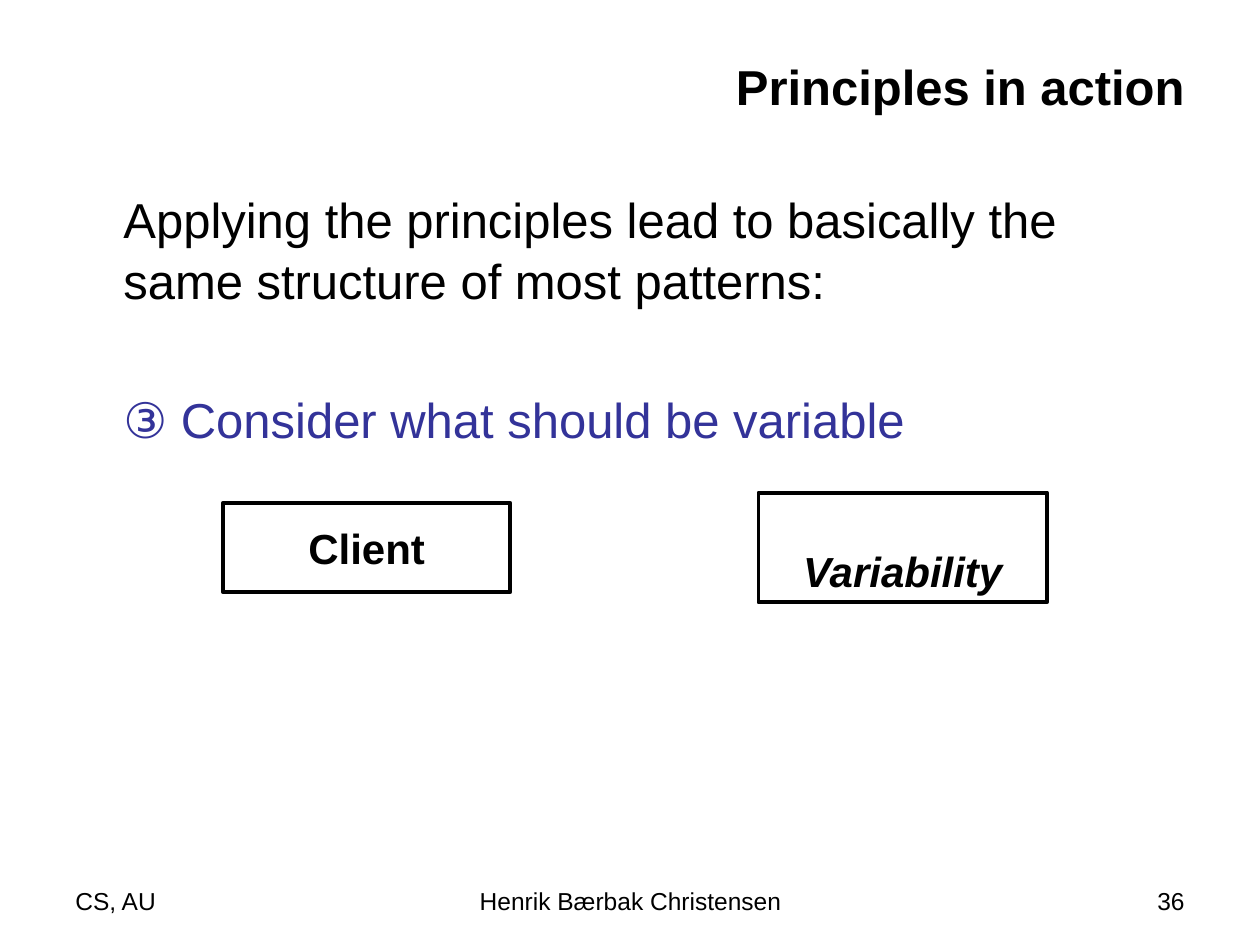
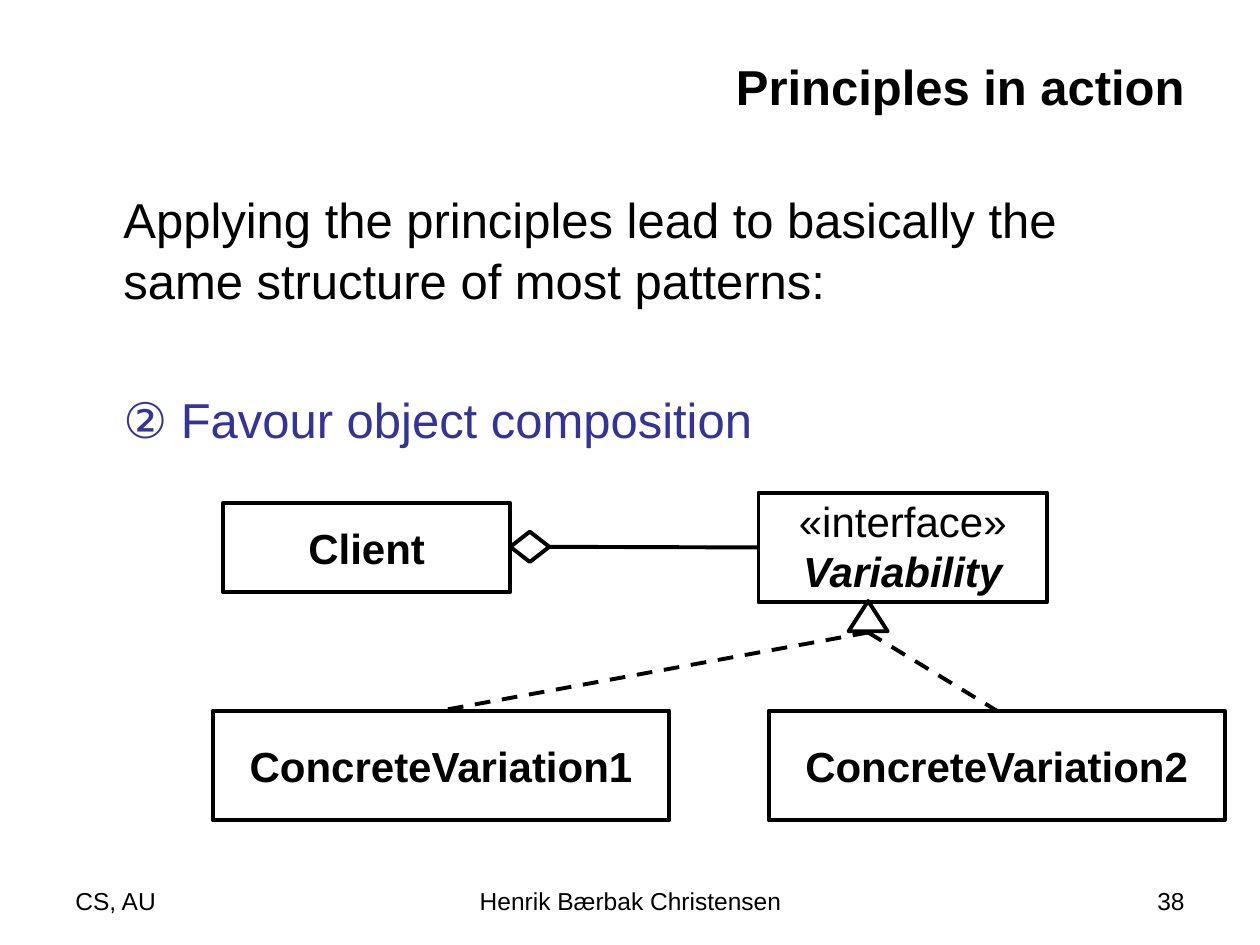
from collections import namedtuple

from lxml import etree
from pptx import Presentation
from pptx.dml.color import RGBColor
from pptx.enum.dml import MSO_LINE
from pptx.enum.shapes import MSO_CONNECTOR, MSO_SHAPE
from pptx.enum.text import MSO_ANCHOR, PP_ALIGN
from pptx.oxml.ns import qn
from pptx.util import Inches, Pt

LEFT, CENTER, RIGHT = PP_ALIGN.LEFT, PP_ALIGN.CENTER, PP_ALIGN.RIGHT
TOP, MIDDLE, BOTTOM = MSO_ANCHOR.TOP, MSO_ANCHOR.MIDDLE, MSO_ANCHOR.BOTTOM
RECTANGLE, DIAMOND = MSO_SHAPE.RECTANGLE, MSO_SHAPE.DIAMOND
TRIANGLE = MSO_SHAPE.ISOSCELES_TRIANGLE
STRAIGHT, DASH = MSO_CONNECTOR.STRAIGHT, MSO_LINE.DASH
TOP_SIDE, LEFT_SIDE, RIGHT_SIDE = 0, 1, 3

FONT = "Arial"
BLACK, BLUE = "000000", "333399"
LINE_WIDTH = 2.25
SYMBOL_W, SYMBOL_H = 0.31, 0.24

Box = namedtuple("Box", "x y w h")
TITLE = Box(0.5, 0.3, 9, 0.77)
BODY = Box(0.5, 1.39, 9, 5.59)
FOOTER = Box(0.5, 6.98, 9, 0.37)
DIAGRAM = Box(1.69, 3.91, 8.03, 2.6)


def color(hex_string):
    return RGBColor.from_string(hex_string)


def inches(*lengths):
    return [Inches(length) for length in lengths]


def write(paragraph, text, size, align=LEFT, ink=BLACK, bold=False, italic=False):
    paragraph.alignment = align
    run = paragraph.add_run()
    run.text = text
    font = run.font
    font.name, font.size, font.bold, font.italic = FONT, Pt(size), bold, italic
    font.color.rgb = color(ink)


def add_text(slide, box, anchor=TOP):
    frame = slide.shapes.add_textbox(*inches(*box)).text_frame
    frame.word_wrap = True
    frame.vertical_anchor = anchor
    return frame


def add_outline(slide, kind, box):
    outline = slide.shapes.add_shape(kind, *inches(*box))
    outline.shadow.inherit = False
    outline.fill.background()
    outline.line.color.rgb = color(BLACK)
    outline.line.width = Pt(LINE_WIDTH)
    return outline


def add_class(slide, box, name, abstract=False, stereotype=None):
    class_box = add_outline(slide, RECTANGLE, box)
    frame = class_box.text_frame
    frame.word_wrap = False
    frame.vertical_anchor = BOTTOM if abstract else MIDDLE
    paragraph = frame.paragraphs[0]
    if stereotype:
        write(paragraph, stereotype, 24, CENTER)
        paragraph = frame.add_paragraph()
    write(paragraph, name, 24, CENTER, bold=True, italic=abstract)
    return class_box


def add_relation(slide, start, target, side, dash=None):
    relation = slide.shapes.add_connector(STRAIGHT, *inches(*start, *start))
    relation.end_connect(target, side)
    relation.line.color.rgb = color(BLACK)
    relation.line.width = Pt(LINE_WIDTH)
    if dash:
        relation.line.dash_style = dash
    etree.SubElement(relation.element.spPr, qn("a:effectLst"))
    return relation


def add_title(slide, box, text):
    write(add_text(slide, box, MIDDLE).paragraphs[0], text, 28, RIGHT, bold=True)


def add_footer(slide, box, number):
    parts = (
        (0, 2.33, "CS, AU", LEFT),
        (2.92, 3.17, "Henrik Bærbak Christensen", CENTER),
        (6.67, 2.33, str(number), RIGHT),
    )
    for offset, width, text, align in parts:
        frame = add_text(slide, Box(box.x + offset, box.y, width, box.h))
        write(frame.paragraphs[0], text, 14, align)


def add_body(slide, box, principle):
    frame = add_text(slide, box)
    frame.margin_left = Inches(0.48)
    frame.margin_top = Inches(0.1)
    intro = frame.paragraphs[0]
    write(intro, "Applying the principles lead to basically the same structure of most patterns:", 28)
    intro.line_spacing = 1.03
    step = frame.add_paragraph()
    step.space_before = Pt(46)
    write(step, principle, 28, ink=BLUE)


def add_roles(slide, box, stereotype=None):
    client = add_class(slide, Box(box.x + 0.08, box.y + 0.08, 2.28, 0.71), "Client")
    variability = add_class(slide, Box(box.x + 4.33, box.y, 2.29, 0.87),
                            "Variability", True, stereotype)
    return client, variability


def add_composition(slide, box):
    client, variability = add_roles(slide, box, "«interface»")

    middle = box.y + 0.43
    client_right = (client.left + client.width) / Inches(1)
    diamond = add_outline(slide, DIAMOND, Box(client_right, middle - SYMBOL_H / 2, SYMBOL_W, SYMBOL_H))
    aggregation = add_relation(slide, (client_right + SYMBOL_W, middle), variability, LEFT_SIDE)
    aggregation.begin_connect(diamond, RIGHT_SIDE)

    tip_x, tip_y = box.x + 5.2, box.y + 0.86
    add_outline(slide, TRIANGLE, Box(tip_x - SYMBOL_W / 2, tip_y, SYMBOL_W, SYMBOL_H))
    width, height = 3.62, 0.87
    for number, x in enumerate((box.x, box.x + box.w - width), 1):
        variation = add_class(slide, Box(x, box.y + box.h - height, width, height),
                              f"ConcreteVariation{number}")
        add_relation(slide, (tip_x, tip_y + SYMBOL_H + 0.01), variation, TOP_SIDE, DASH)


def add_principle_slide(deck, number, principle, add_diagram):
    slide = deck.slides.add_slide(deck.slide_layouts[6])
    add_footer(slide, FOOTER, number)
    add_title(slide, TITLE, "Principles in action")
    add_body(slide, BODY, principle)
    add_diagram(slide, DIAGRAM)


def main():
    deck = Presentation()
    deck.slide_width, deck.slide_height = inches(10, 7.5)
    add_principle_slide(deck, 36, "③ Consider what should be variable", add_roles)
    add_principle_slide(deck, 38, "② Favour object composition", add_composition)
    deck.save("out.pptx")


if __name__ == "__main__":
    main()
